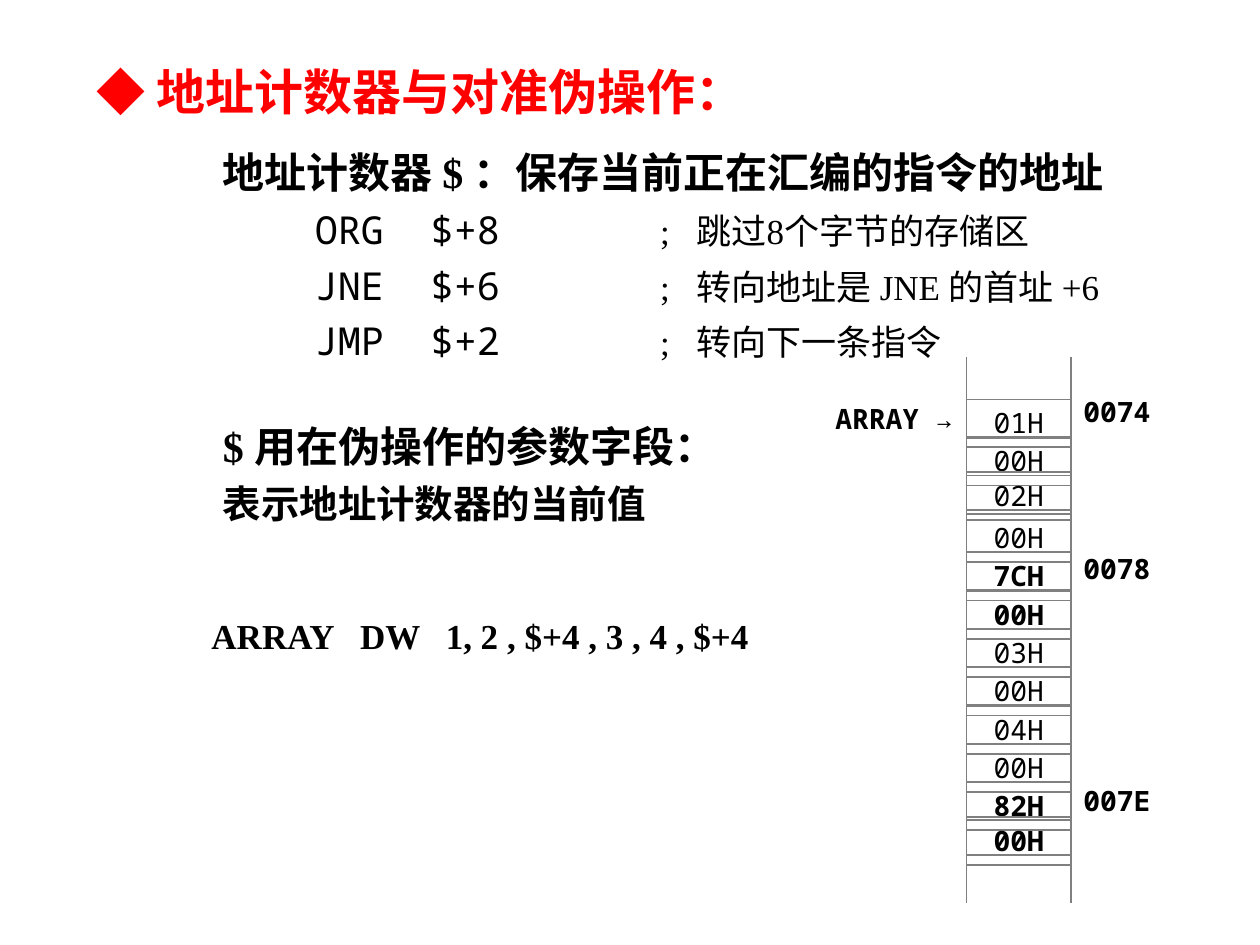
from pptx import Presentation
from pptx.dml.color import RGBColor
from pptx.enum.shapes import MSO_CONNECTOR, MSO_SHAPE
from pptx.enum.text import MSO_ANCHOR, MSO_AUTO_SIZE, PP_ALIGN
from pptx.oxml.ns import qn
from pptx.util import Inches, Pt
from lxml import etree

THEME = {
    "serif": "Times New Roman", "mono": "Noto Sans Mono",
    "red": RGBColor(255, 0, 0), "black": RGBColor(0, 0, 0),
    "grey": RGBColor(128, 128, 128),
    "title": 28, "head": 24, "code": 22, "body": 20, "cell": 16,
}


def add_runs(p, *runs, color="black", tabs=(), align=PP_ALIGN.LEFT, spacing=None, before=None):
    """Fill a paragraph with (text, font, size, bold) runs and set its tab stops."""
    p.alignment = align
    p.line_spacing = spacing
    if before:
        p.space_before = Pt(before)
    for text, font, size, bold in runs:
        r = p.add_run()
        r.text = text
        r.font.name, r.font.size, r.font.bold = THEME[font], Pt(THEME[size]), bold
        r.font.color.rgb = THEME[color]
    if tabs:
        stops = etree.SubElement(p._p.get_or_add_pPr(), qn("a:tabLst"))
        for pos in tabs:
            etree.SubElement(stops, qn("a:tab"), pos=str(Inches(pos)), algn="l")


def add_box(slide, x, y, w, h, *runs, **fmt):
    """Add a wrapping text box and return its text frame."""
    tf = slide.shapes.add_textbox(Inches(x), Inches(y), Inches(w), Inches(h)).text_frame
    tf.word_wrap = True
    tf.auto_size = MSO_AUTO_SIZE.SHAPE_TO_FIT_TEXT
    add_runs(tf.paragraphs[0], *runs, **fmt)
    return tf


prs = Presentation()
prs.slide_width, prs.slide_height = Inches(10), Inches(7.5)
slide = prs.slides.add_slide(prs.slide_layouts[6])

add_box(slide, 0.67, 0.44, 6.4, 0.57,
        ("◆ 地址计数器与对准伪操作：", "serif", "title", True), color="red")

# Explanation with code examples in tabbed columns
tf = add_box(slide, 1.67, 1, 7.58, 3.26,
             ("地址计数器 $ ：保存当前正在汇编的指令的地址", "serif", "head", True), spacing=1.2)
tf.vertical_anchor = MSO_ANCHOR.MIDDLE
examples = [
    ("ORG", "$+8", "跳过8个字节的存储区"),
    ("JNE", "$+6", "转向地址是 JNE 的首址 +6"),
    ("JMP", "$+2", "转向下一条指令"),
]
for op, operand, note in examples:
    add_runs(tf.add_paragraph(), (f"\t{op}\t{operand}\t", "mono", "code", False),
             (f";\t{note}", "serif", "body", False),
             tabs=(0.73, 1.65, 3.47, 3.76), spacing=1.2)
add_runs(tf.add_paragraph(), ("$ 用在伪操作的参数字段：", "serif", "head", True),
         spacing=1.2, before=27)
add_runs(tf.add_paragraph(), ("表示地址计数器的当前值", "serif", "code", True), spacing=1.2)

tf = add_box(slide, 1.58, 4.83, 4.5, 0.43,
             ("ARRAY\tDW\t1, 2 , $+4 , 3 , 4 , $+4", "serif", "body", True), tabs=(1.18, 1.86))
tf.margin_right = 0

# Memory column: each cell is a frame and a taller text frame
LEFT, TOP, WIDTH, PITCH = 7.67, 3.17, 0.83, 0.304
NUDGE = {2: -0.03, 11: -0.03}
values = ["01H", "00H", "02H", "00H", "7CH", "00H", "03H", "00H", "04H", "00H", "82H", "00H"]
address_cells = {4, 5, 10, 11}
for i, value in enumerate(values):
    group = slide.shapes.add_group_shape()
    y = TOP + i * PITCH + NUDGE.get(i, 0)
    for height in (0.3, 0.38):
        sp = group.shapes.add_shape(MSO_SHAPE.RECTANGLE, Inches(LEFT), Inches(y),
                                    Inches(WIDTH), Inches(height))
        sp.shadow.inherit = False
        sp.fill.background()
        sp.line.color.rgb, sp.line.width = THEME["grey"], Pt(1)
    tf = sp.text_frame
    tf.vertical_anchor = MSO_ANCHOR.TOP
    add_runs(tf.paragraphs[0], (value, "mono", "cell", i in address_cells),
             align=PP_ALIGN.CENTER)

# Open ends of the memory column
for y in (2.83, 6.79):
    for x in (LEFT, LEFT + WIDTH):
        line = slide.shapes.add_connector(MSO_CONNECTOR.STRAIGHT, Inches(x), Inches(y),
                                          Inches(x), Inches(y + 0.38))
        line.line.color.rgb, line.line.width = THEME["grey"], Pt(1)
        etree.SubElement(line._element.spPr, qn("a:effectLst"))

tf = add_box(slide, 6, 3.14, 1.83, 0.37, ("ARRAY →", "mono", "cell", True))
tf.margin_left = Inches(0.63)
for address, y in (("0074", 3.08), ("0078", 4.33), ("007E", 6.17)):
    add_box(slide, LEFT + WIDTH, y, 0.92, 0.37, (address, "mono", "cell", True))

prs.save("out.pptx")
